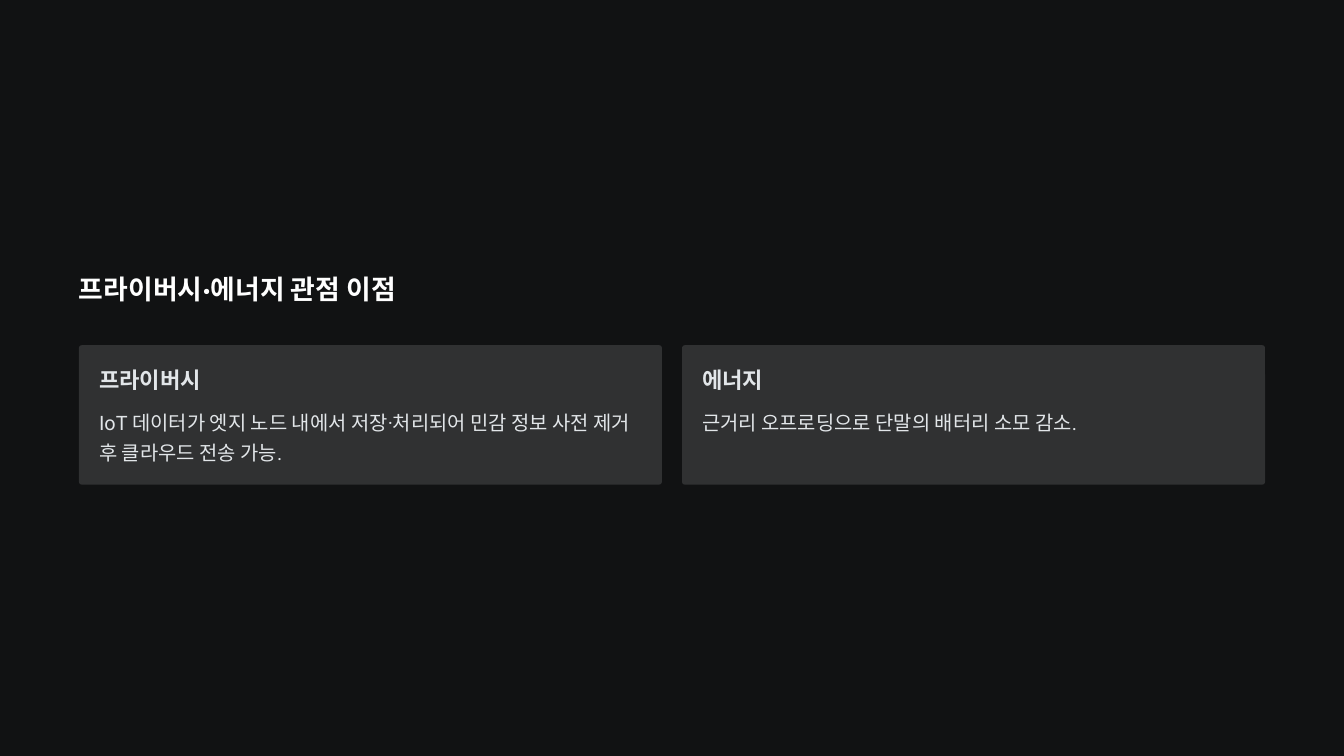
"""Build a dark slide with two cards on privacy and energy benefits."""
from pptx import Presentation
from pptx.dml.color import RGBColor
from pptx.enum import shapes, text
from pptx.util import Inches, Pt


def paint(fill, color):
    fill.solid()
    fill.fore_color.rgb = RGBColor.from_string(color)


def write(sp, content, style, color, wrap=False):
    tf = sp.text_frame
    frame = {"margin_left": 0, "margin_top": 0, "margin_right": 0, "margin_bottom": 0,
             "word_wrap": wrap, "auto_size": text.MSO_AUTO_SIZE.NONE,
             "vertical_anchor": text.MSO_ANCHOR.TOP}
    for name, value in frame.items():
        setattr(tf, name, value)
    p = tf.paragraphs[0]
    p.alignment = text.PP_ALIGN.LEFT
    p.line_spacing = Pt(style["spacing"])
    r = p.add_run()
    r.text = content
    for name in ("name", "size", "bold"):
        setattr(r.font, name, style[name])
    paint(r.font.fill, color)


TITLE = {"name": "Montserrat", "size": Pt(23), "bold": True, "spacing": 28.5}
HEADING = {"name": "Montserrat", "size": Pt(19), "bold": True, "spacing": 24}
BODY = {"name": "Roboto", "size": Pt(17), "bold": False, "spacing": 25.5}

prs = Presentation()
prs.slide_width, prs.slide_height = Inches(16), Inches(9)
s = prs.slides.add_slide(prs.slide_layouts[5])
paint(s.background.fill, "111213")

title = s.shapes.title
box = {"left": 0.94, "top": 3.23, "width": 4.2, "height": 0.4}
for name, value in box.items():
    setattr(title, name, Inches(value))
write(title, "프라이버시·에너지 관점 이점", TITLE, "FFFFFF")

cards = [
    ("프라이버시", "IoT 데이터가 엣지 노드 내에서 저장·처리되어 민감 정보 사전 제거 후 클라우드 전송 가능.",
     0.71, True),
    ("에너지", "근거리 오프로딩으로 단말의 배터리 소모 감소.", 0.35, False),
]
left, width, gap, pad = 0.94, 6.94, 0.24, 0.24
for i, (heading, body, body_height, wrap) in enumerate(cards):
    x = left + i * (width + gap)
    card = s.shapes.add_shape(shapes.MSO_SHAPE.ROUNDED_RECTANGLE,
                              Inches(x), Inches(4.11), Inches(width), Inches(1.66))
    card.adjustments[0] = 0.02
    card.shadow.inherit = False
    card.line.fill.background()
    paint(card.fill, "303132")
    for content, style, y, w, h, wraps in (
            (heading, HEADING, 4.34, 2.68, 0.34, False),
            (body, BODY, 4.82, 6.47, body_height, wrap)):
        sp = s.shapes.add_textbox(Inches(x + pad), Inches(y), Inches(w), Inches(h))
        write(sp, content, style, "E2E6E9", wraps)

prs.save("out.pptx")
